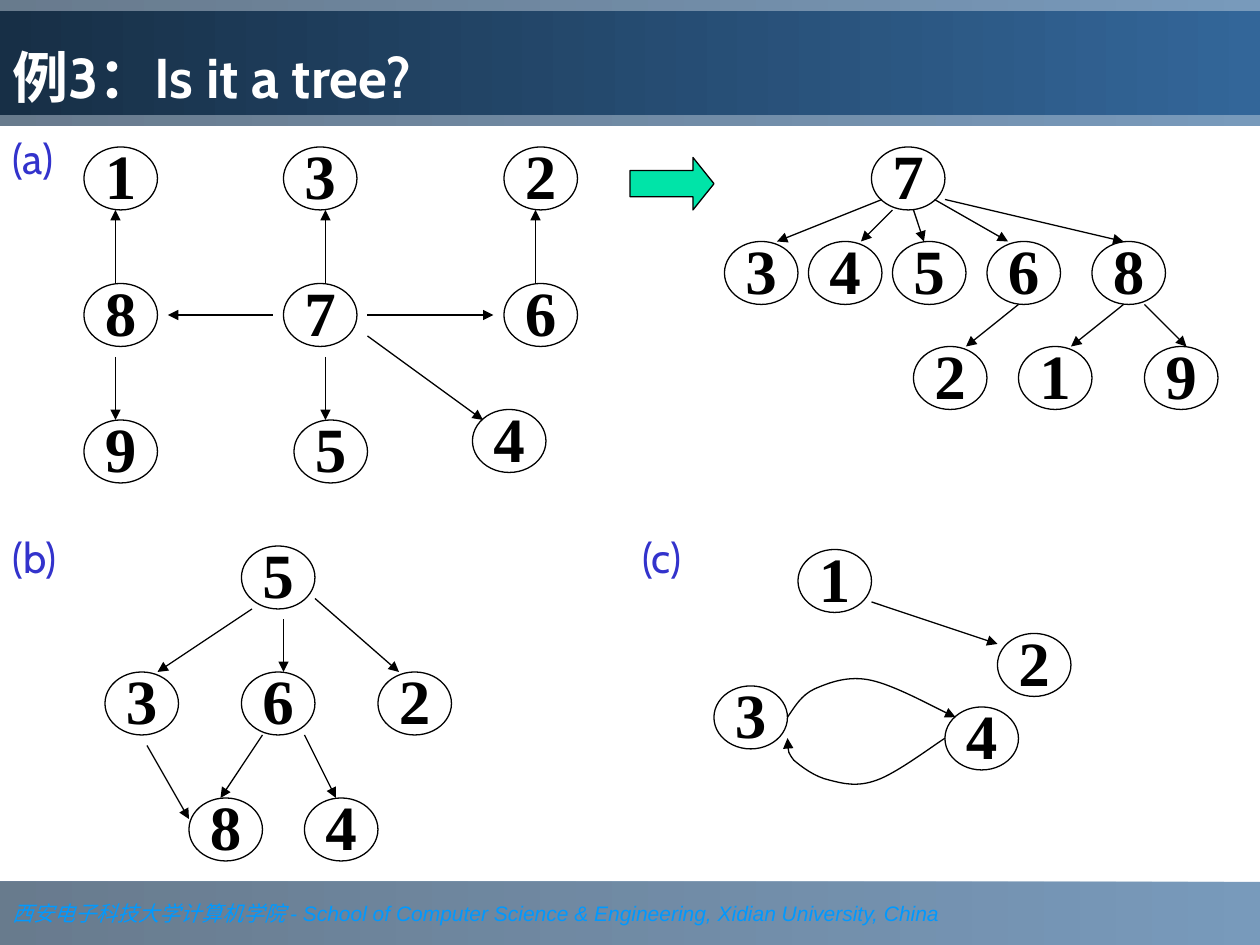
from pptx import Presentation
from pptx.dml.color import RGBColor as RGB
from pptx.enum.shapes import MSO_CONNECTOR as LINK, MSO_SHAPE as FORM
from pptx.enum.text import MSO_ANCHOR as ANCHOR, PP_ALIGN as ALIGN
from pptx.oxml.ns import qn
from pptx.util import Emu, Inches, Pt
from lxml.etree import SubElement

COLS, ROWS = 120, 90
WIDE, HIGH = Inches(10), Inches(7.5)
NODE = (7, 6)
INK = {
    "black": "000000", "white": "FFFFFF", "label": "3333CC",
    "footer": "0099FF", "arrow": "00E4A8",
    "blue": "336699", "navy": "172F46", "slate": "1B3753",
}

TREE_A = [
    ("1", 8, 14), ("3", 27, 14), ("2", 48, 14),
    ("8", 8, 27), ("7", 27, 27), ("6", 48, 27),
    ("9", 8, 40), ("5", 28, 40), ("4", 45, 39),
]
LINKS_A = [
    (31, 27, 31, 20), (31, 34, 31, 40), (26, 30, 16, 30),
    (35, 30, 47, 30), (11, 27, 11, 20), (11, 34, 11, 40),
    (51, 27, 51, 20), (35, 32, 46, 40),
]
TREE_R = [
    ("7", 83, 14), ("3", 69, 23), ("4", 77, 23), ("5", 85, 23),
    ("6", 94, 23), ("8", 104, 23), ("2", 87, 33), ("1", 97, 33),
    ("9", 109, 33),
]
LINKS_R = [
    (84, 19, 74, 23), (85, 20, 82, 23), (87, 20, 88, 23),
    (89, 19, 96, 23), (90, 19, 107, 23), (107, 29, 102, 33),
    (109, 29, 113, 33), (97, 29, 92, 33),
]
TREE_B = [
    ("5", 23, 52), ("3", 10, 64), ("6", 23, 64), ("2", 36, 64),
    ("8", 18, 76), ("4", 29, 76),
]
LINKS_B = [
    (27, 59, 27, 64), (24, 58, 15, 64), (30, 57, 38, 64),
    (25, 70, 21, 76), (29, 70, 32, 76), (14, 71, 18, 78),
]
GRAPH_C = [
    ("1", 76, 52.33), ("2", 95, 60.33), ("3", 68, 65.33),
    ("4", 90, 67.33),
]
LINKS_C = [(83, 57.33, 95, 61.33)]
CURVES_C = [
    [(75, 68.3), (75.7, 67.3), (76.3, 66.2), (77.6, 65.6),
     (79, 65), (80.8, 64.3), (83, 64.8),
     (85.2, 65.3), (89.6, 67.7), (91, 68.3)],
    [(90, 70.3), (88.9, 71), (85.3, 73.7), (83.5, 74.3),
     (81.6, 75), (80.2, 74.6), (79, 74.3),
     (77.6, 74), (76.3, 73), (75.6, 72.4),
     (75, 71.6), (75, 71), (75, 70.3)],
]


def tint(name):
    return RGB.from_string(INK[name])


def spot(col, row):
    return Emu(round(col * WIDE / COLS)), Emu(round(row * HIGH / ROWS))


def write(shape, *parts, font="Cabin", size=24, color="black", bold=False,
          slant=False, align=ALIGN.LEFT, anchor=ANCHOR.TOP, wrap=True,
          inset=(0.1, 0.05), lead=None):
    frame = shape.text_frame
    frame.word_wrap = wrap
    frame.vertical_anchor = anchor
    frame.margin_left = frame.margin_right = Inches(inset[0])
    frame.margin_top = frame.margin_bottom = Inches(inset[1])
    para = frame.paragraphs[0]
    para.alignment = align
    if lead:
        para.line_spacing = lead
    for part in parts:
        text, face = part if isinstance(part, tuple) else (part, font)
        run = para.add_run()
        run.text = text
        run.font.name = face
        run.font.size = Pt(size)
        run.font.bold = bold
        run.font.italic = slant
        run.font.color.rgb = tint(color)


def block(shapes, form, col, row, wide, high, fill):
    shape = shapes.add_shape(form, *spot(col, row), *spot(wide, high))
    shape.shadow.inherit = False
    shape.fill.solid()
    shape.fill.fore_color.rgb = tint(fill)
    shape.line.color.rgb = tint("black")
    shape.line.width = Pt(0.75)
    return shape


def band(shapes, row, high, dark, alpha=None):
    shape = block(shapes, FORM.RECTANGLE, 0, row, COLS, high, "blue")
    shape.line.fill.background()
    shape.fill.gradient()
    shape.fill.gradient_angle = 180
    for stop, name, place in zip(shape.fill.gradient_stops, ("blue", dark), (0, 1)):
        stop.color.rgb = tint(name)
        stop.position = place
    if alpha:
        for color in shape.element.spPr.iter(qn("a:srgbClr")):
            SubElement(color, qn("a:alpha")).set("val", str(alpha * 1000))
    return shape


def tip(item):
    item.line.color.rgb = tint("black")
    item.line.width = Pt(0.75)
    line = item.line._get_or_add_ln()
    SubElement(line, qn("a:tailEnd")).set("type", "triangle")


def node(shapes, text, col, row):
    shape = block(shapes, FORM.OVAL, col, row, *NODE, "white")
    write(shape, text, font="Times New Roman", size=36, bold=True,
          align=ALIGN.CENTER, inset=(0, 0), lead=0.72)


def link(shapes, *ends):
    item = shapes.add_connector(LINK.STRAIGHT, *spot(*ends[:2]), *spot(*ends[2:]))
    tip(item)
    SubElement(item._element.spPr, qn("a:effectLst"))


def curve(shapes, points):
    start, *rest = [spot(*point) for point in points]
    pen = shapes.build_freeform(*start)
    pen.add_line_segments(rest, close=False)
    shape = pen.convert_to_shape()
    shape.shadow.inherit = False
    shape.fill.background()
    tip(shape)
    route = next(shape.element.iter(qn("a:path")))
    steps = route.findall(qn("a:lnTo"))
    for first in range(0, len(steps), 3):
        bend = SubElement(route, qn("a:cubicBezTo"))
        for step in steps[first:first + 3]:
            bend.append(step[0])
            route.remove(step)


def graph(slide, nodes, links, curves=()):
    shapes = slide.shapes.add_group_shape().shapes
    for item in nodes:
        node(shapes, *item)
    for ends in links:
        link(shapes, *ends)
    for points in curves:
        curve(shapes, points)


def main():
    deck = Presentation()
    deck.slide_width, deck.slide_height = WIDE, HIGH
    slide = deck.slides.add_slide(deck.slide_layouts[6])
    shapes = slide.shapes

    footer = band(shapes, 84, 6, "slate", 66)
    write(footer, ("西安电子科技大学计算机学院 ", "Times New Roman"),
          ("- School of Computer Science & Engineering, Xidian University, China", "Arial"),
          size=12, color="footer", slant=True, anchor=ANCHOR.MIDDLE, wrap=False)
    band(shapes, 0, 12, "slate", 66)
    title = band(shapes, 1, 10, "navy")
    write(title, "例3：Is it a tree?", size=32, color="white", bold=True,
          anchor=ANCHOR.BOTTOM)

    arrow = block(shapes, FORM.RIGHT_ARROW, 60, 15, 8, 5, "arrow")
    arrow.adjustments[0], arrow.adjustments[1] = 0.5, 0.4

    graph(slide, TREE_R, LINKS_R)
    graph(slide, TREE_B, LINKS_B)
    graph(slide, GRAPH_C, LINKS_C, CURVES_C)
    graph(slide, TREE_A, LINKS_A)

    for text, col, row in (("(a)", 0, 12), ("(b)", 0, 50), ("(c)", 60, 50)):
        box = shapes.add_textbox(*spot(col, row), *spot(9, 6))
        write(box, text, color="label")

    deck.save("out.pptx")


if __name__ == "__main__":
    main()
